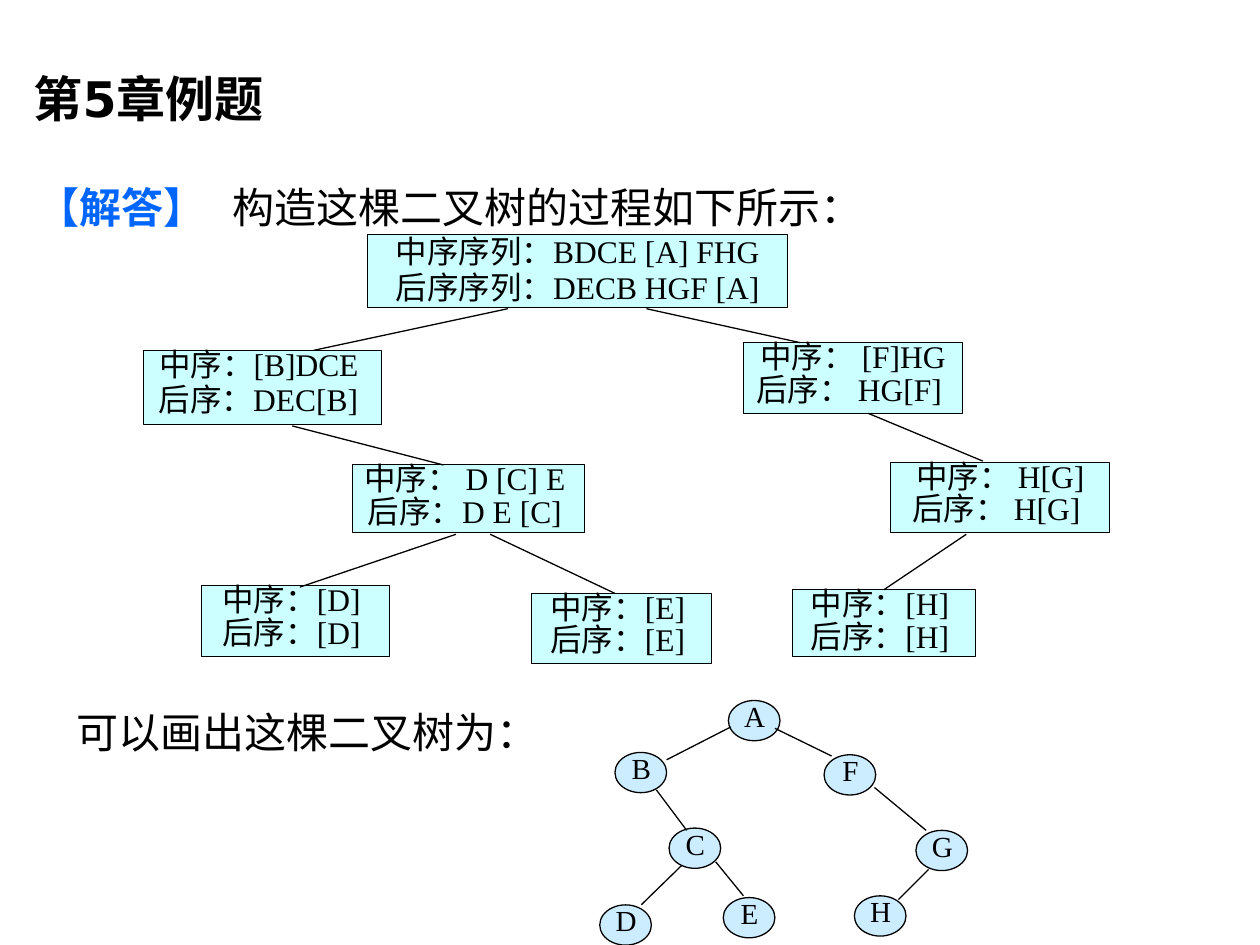
from lxml.etree import SubElement
from pptx import Presentation
from pptx.dml.color import RGBColor
from pptx.enum.shapes import MSO_CONNECTOR as Connector, MSO_SHAPE as Shape
from pptx.enum.text import MSO_ANCHOR as Anchor, PP_ALIGN as Align
from pptx.oxml.ns import qn
from pptx.util import Pt

COLORS = {"ink": "000000", "answer": "0066FF", "sequence": "CCFFFF", "node": "CCECFF"}
CJK = "Noto Sans CJK SC"
SERIF = "Times New Roman"

SEQUENCES = {
    "A": (210.2, 133.9, 239.8, 41.8, "中序序列：BDCE [A] FHG", "后序序列：DECB HGF [A]"),
    "B": (82.1, 200.2, 136.1, 42.5, "中序：[B]DCE ", "后序：DEC[B]"),
    "F": (424.8, 195.8, 125.3, 40.3, "中序： [F]HG", "后序： HG[F] "),
    "C": (201.6, 265.7, 132.5, 38.9, "中序： D [C] E ", "后序：D E [C] "),
    "G": (509, 264.2, 125.3, 40.3, "中序： H[G]", "后序： H[G] "),
    "D": (115.2, 334.8, 107.3, 40.3, "中序：[D] ", "后序：[D] "),
    "E": (303.8, 339.1, 103, 40.3, "中序：[E] ", "后序：[E] "),
    "H": (452.9, 337, 104.4, 38.2, "中序：[H] ", "后序：[H] "),
}
SEQUENCE_LINKS = [
    (290.2, 176.4, 179.3, 200.2),
    (369.4, 176.4, 457.2, 195.8),
    (167, 243.4, 253.4, 265.7),
    (260.6, 305.3, 171.4, 335.5),
    (280.1, 305.3, 351.4, 339.1),
    (496.1, 236.2, 561.6, 263.5),
]
NODES = {
    "A": (416.2, 400.3), "F": (470.9, 431.3), "G": (523.4, 474.5), "H": (488.2, 511.9),
    "E": (413.3, 512.9), "D": (342.7, 517.1), "C": (382.3, 473.2), "B": (351.4, 430),
}
NODE_LINKS = [
    (417.6, 415.4, 380.9, 434.2),
    (442.8, 416.2, 475.2, 432),
    (375.1, 451.4, 392.4, 474.5),
    (409, 492.5, 424.8, 511.9),
    (389.5, 494.6, 366.5, 517),
    (499.7, 450, 529.2, 474.5),
    (530.6, 496.8, 513.4, 514.1),
]


def write(frame, paragraphs, size, font, align=Align.LEFT, spacing=None,
          anchor=Anchor.TOP, margins=(0, 0), bold=False, tab=None):
    frame.word_wrap = True
    frame.vertical_anchor = anchor
    frame.margin_left = frame.margin_right = Pt(margins[0])
    frame.margin_top = frame.margin_bottom = Pt(margins[1])
    for index, runs in enumerate(paragraphs):
        paragraph = frame.add_paragraph() if index else frame.paragraphs[0]
        paragraph.alignment = align
        if spacing:
            paragraph.line_spacing = spacing
        if tab:
            stops = SubElement(paragraph._p.get_or_add_pPr(), qn("a:tabLst"))
            SubElement(stops, qn("a:tab"), pos=str(Pt(tab)), algn="l")
        for text, changes in runs:
            look = {"size": size, "font": font, "bold": bold, "color": "ink"} | changes
            run = paragraph.add_run()
            run.text = text
            run.font.size = Pt(look["size"])
            run.font.name = look["font"]
            run.font.bold = look["bold"]
            run.font.color.rgb = RGBColor.from_string(COLORS[look["color"]])
            SubElement(run._r.get_or_add_rPr(), qn("a:ea"), typeface=CJK)


def add_text(slide, bounds, runs, **look):
    box = slide.shapes.add_textbox(*map(Pt, bounds))
    write(box.text_frame, [runs], margins=(7.2, 3.6), **look)


def add_block(slide, kind, bounds, fill, line_width=None):
    block = slide.shapes.add_shape(kind, *map(Pt, bounds))
    block.shadow.inherit = False
    block.fill.solid()
    block.fill.fore_color.rgb = RGBColor.from_string(COLORS[fill])
    if line_width:
        block.line.color.rgb = RGBColor.from_string(COLORS["ink"])
        block.line.width = Pt(line_width)
    else:
        block.line.fill.background()
    return block


def add_sequence(slide, bounds, lines, spacing, tail_size=None):
    block = add_block(slide, Shape.RECTANGLE, bounds, "sequence", 0.5)
    paragraphs = [[(line, {})] for line in lines]
    if tail_size:
        paragraphs[-1].append((" ", {"size": tail_size}))
    write(block.text_frame, paragraphs, 18, SERIF, align=Align.CENTER, spacing=spacing)
    return block


def add_node(slide, letter, left, top):
    add_block(slide, Shape.OVAL, (left, top, 29.5, 23), "node", 0.75)
    label = add_block(slide, Shape.RECTANGLE, (left + 5.7, top + 3.3, 18.7, 15.8), "node")
    write(label.text_frame, [[(letter, {})]], 16.6, SERIF, align=Align.CENTER, spacing=0.76)


def add_link(slide, ends):
    link = slide.shapes.add_connector(Connector.STRAIGHT, *map(Pt, ends))
    link.line.color.rgb = RGBColor.from_string(COLORS["ink"])
    link.line.width = Pt(0.75)
    SubElement(link._element.spPr, qn("a:effectLst"))
    return link


def main():
    deck = Presentation()
    deck.slide_width, deck.slide_height = Pt(720), Pt(540)
    slide = deck.slides.add_slide(deck.slide_layouts[6])

    add_text(slide, (14.4, 100.1, 671.8, 36), [
        ("【解答】\t", {"font": "Arial", "bold": True, "color": "answer"}),
        ("构造这棵二叉树的过程如下所示", {}),
        ("：", {"font": SERIF}),
    ], size=24, font=CJK, tab=111.6)

    sequences = {}
    for letter, (*bounds, inorder, postorder) in SEQUENCES.items():
        sequences[letter] = add_sequence(
            slide, bounds, (inorder, postorder),
            spacing=0.96 if letter == "A" else 0.86,
            tail_size=20 if letter == "B" else None)
    for ends in SEQUENCE_LINKS:
        add_link(slide, ends)
    add_link(slide, (552.2, 305.3, 505.1, 337)).end_connect(sequences["H"], 0)

    for letter, corner in NODES.items():
        add_node(slide, letter, *corner)
    for ends in NODE_LINKS:
        add_link(slide, ends)

    add_text(slide, (36.7, 400.3, 275.8, 36), [("可以画出这棵二叉树为：", {})], size=24, font=CJK)
    add_text(slide, (12.2, 33.8, 160.6, 44.6), [("第5章例题", {})],
             size=28, font="DejaVu Sans", bold=True, anchor=Anchor.MIDDLE)
    deck.save("out.pptx")


if __name__ == "__main__":
    main()
